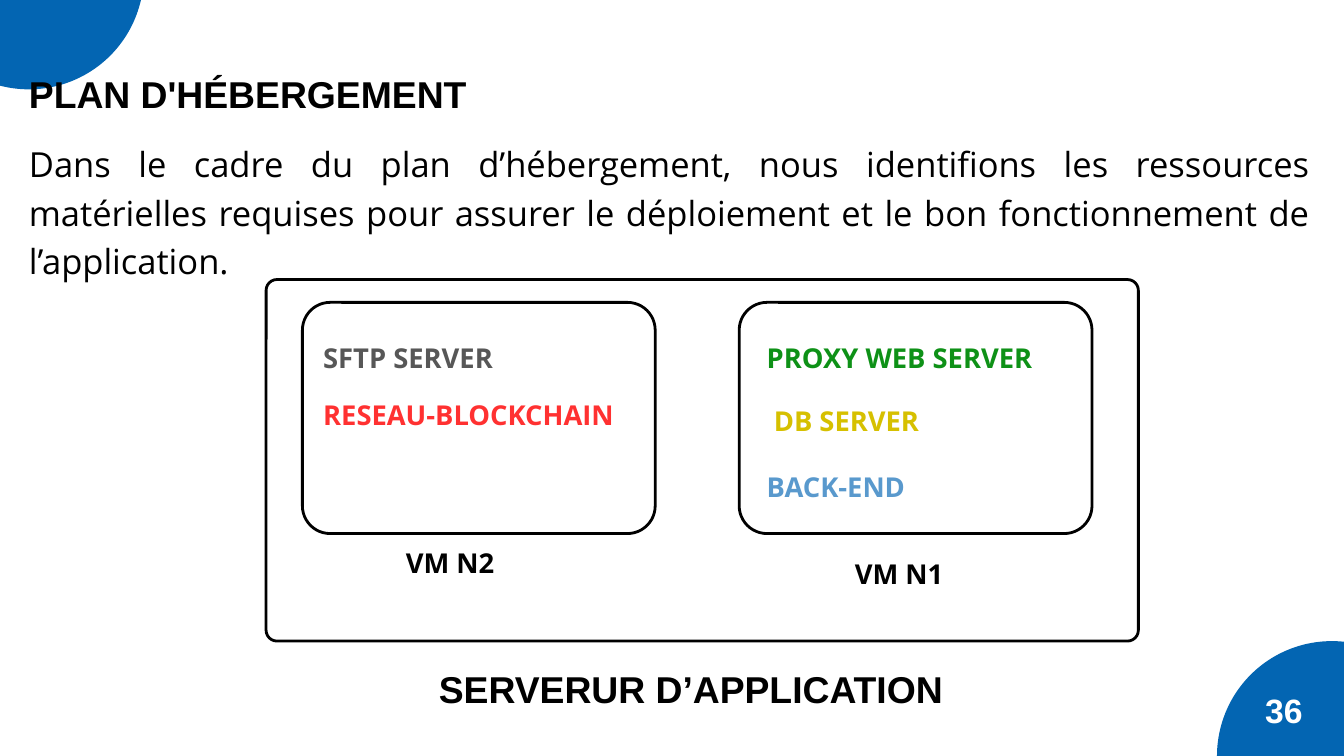
"""Build the hosting plan slide: two virtual machines inside one application server."""
import pptx
import pptx.util
import pptx.dml.color
import pptx.enum.shapes
import pptx.enum.text
import pptx.oxml

COLORS = {
    "blue": "0365B2", "black": "000000", "white": "FFFFFF", "grey": "575757",
    "red": "FF3131", "green": "0E9117", "yellow": "D6C000", "sky": "5999CD",
}
SHAPES = pptx.enum.shapes.MSO_SHAPE
ALIGN = pptx.enum.text.PP_ALIGN

deck = pptx.Presentation()
deck.slide_width = pptx.util.Inches(20)
deck.slide_height = pptx.util.Inches(11.25)
column = deck.slide_width / 80
row = deck.slide_height / 45
slide = deck.slides.add_slide(deck.slide_layouts[1])


def grid(left, top, width, height):
    return int(left * column), int(top * row), int(width * column), int(height * row)


def write(holder, text, place, size, font, color, bold=True, leading=1.0, inset=0):
    holder.left, holder.top, holder.width, holder.height = grid(*place)
    frame = holder.text_frame
    frame.text = text
    frame.word_wrap = True
    frame.auto_size = pptx.enum.text.MSO_AUTO_SIZE.NONE
    frame.vertical_anchor = pptx.enum.text.MSO_ANCHOR.TOP
    frame.margin_left = frame.margin_right = pptx.util.Inches(inset)
    frame.margin_top = frame.margin_bottom = pptx.util.Inches(inset / 2)
    paragraph = frame.paragraphs[0]
    paragraph.alignment = ALIGN.LEFT if inset else ALIGN.JUSTIFY
    paragraph.line_spacing = leading
    paragraph.space_before = pptx.util.Pt(0)
    letters = paragraph.runs[0].font
    letters.name = font
    letters.size = pptx.util.Pt(size)
    letters.bold = bold
    letters.color.rgb = pptx.dml.color.RGBColor.from_string(COLORS[color])


title = slide.shapes.title
intro = slide.placeholders[1]

for left, top in [(-5.12, -8.36), (72.44, 38.16)]:
    corner = slide.shapes.add_shape(SHAPES.OVAL, *grid(left, top, 13.68, 13.68))
    corner.shadow.inherit = False
    corner.fill.solid()
    corner.fill.fore_color.rgb = pptx.dml.color.RGBColor.from_string(COLORS["blue"])
    corner.line.fill.background()
    title.element.addprevious(corner.element)

write(title, "PLAN D'HÉBERGEMENT", (1.72, 3.8, 70.12, 3.12), 40, "Arial", "black",
      leading=pptx.util.Pt(56))
write(intro, "Dans le cadre du plan d’hébergement, nous identifions les ressources "
      "matérielles requises pour assurer le déploiement et le bon fonctionnement de "
      "l’application.", (1.72, 8.12, 76.24, 8.64), 37, "Open Sans", "black",
      bold=False, leading=pptx.util.Pt(51.8))
intro_format = intro.text_frame.paragraphs[0].element if hasattr(
    intro.text_frame.paragraphs[0], "element") else intro.text_frame.paragraphs[0]._p
intro_format = intro_format.get_or_add_pPr()
intro_format.set("marL", "0")
intro_format.set("indent", "0")
intro_format.append(pptx.oxml.parse_xml(
    '<a:buNone xmlns:a="http://schemas.openxmlformats.org/drawingml/2006/main"/>'))

server = (15.84, 16.64, 51.92, 21.52)
machines = [(left, 18, 21, 13.76) for left in (18, 44)]
for place, rounding in [(server, 0.03)] + [(machine, 0.12) for machine in machines]:
    outline = slide.shapes.add_shape(SHAPES.ROUNDED_RECTANGLE, *grid(*place))
    outline.shadow.inherit = False
    outline.adjustments[0] = rounding
    outline.fill.background()
    outline.line.color.rgb = pptx.dml.color.RGBColor.from_string(COLORS["black"])
    outline.line.width = pptx.util.Pt(3)

labels = [
    ("SFTP SERVER", 19.24, 20, "grey"),
    ("RESEAU-BLOCKCHAIN", 19.24, 23.36, "red"),
    ("VM N2", 24.16, 32.2, "black"),
    ("PROXY WEB SERVER", 45.64, 20, "green"),
    (" DB SERVER", 45.64, 23.72, "yellow"),
    ("BACK-END", 45.64, 27.68, "sky"),
    ("VM N1", 50.88, 32.84, "black"),
]
for text, left, top, color in labels:
    write(slide.shapes.add_textbox(0, 0, 0, 0), text, (left, top, 19.76, 2.28),
          29.3, "Open Sans", color, leading=pptx.util.Pt(41))

write(slide.shapes.add_textbox(0, 0, 0, 0), "SERVERUR D’APPLICATION",
      (26.12, 39.2, 31.36, 3.12), 40, "Arial", "black", leading=pptx.util.Pt(56))
write(slide.shapes.add_textbox(0, 0, 0, 0), "36", (74.92, 40.88, 3.08, 3.12),
      36.1, "Arial", "white", inset=0.1)

deck.save("out.pptx")
